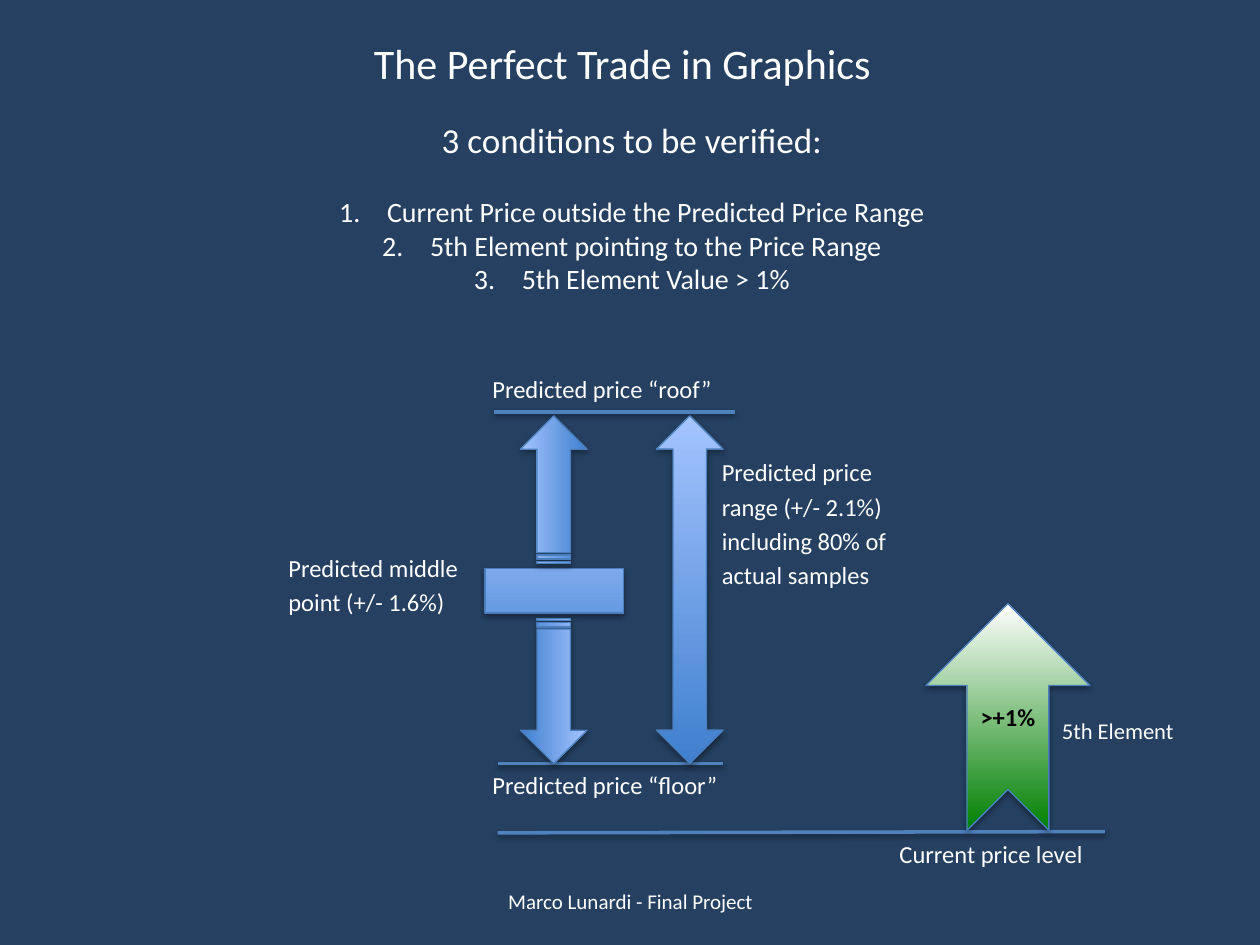
import dataclasses

import lxml.etree
import pptx
import pptx.dml.color
import pptx.enum.shapes
import pptx.enum.text
import pptx.oxml.ns
import pptx.util

COLS, ROWS = 100, 75
COLORS = {
    "background": "254061", "text": "FFFFFF", "signal_text": "000000",
    "level": "4F81BD", "outline": "4B7EBC", "shadow": "000000",
    "deep": "3F80CE", "pale": "A4C4FF", "green": "008000", "white": "FFFFFF",
}
SHAPE = pptx.enum.shapes.MSO_SHAPE
ALIGN = pptx.enum.text.PP_ALIGN
ANCHOR = pptx.enum.text.MSO_ANCHOR
qn = pptx.oxml.ns.qn

prs = pptx.Presentation()
prs.slide_width, prs.slide_height = pptx.util.Inches(10), pptx.util.Inches(7.5)


@dataclasses.dataclass
class Box:
    x: float
    y: float
    w: float
    h: float

    def sub(self, x, y, w, h):
        return Box(self.x + x, self.y + y, w, h)

    def emu(self):
        col, row = prs.slide_width / COLS, prs.slide_height / ROWS
        return [round(v) for v in (self.x * col, self.y * row, self.w * col, self.h * row)]


def rgb(name):
    return pptx.dml.color.RGBColor.from_string(COLORS[name])


def add_shadow(sp, alpha, dist):
    spPr = sp._element.spPr
    effects = lxml.etree.SubElement(spPr, qn("a:effectLst"))
    outer = lxml.etree.SubElement(
        effects, qn("a:outerShdw"), blurRad=str(pptx.util.Pt(3.1)),
        dist=str(pptx.util.Pt(dist)), dir="5400000", rotWithShape="0")
    color = lxml.etree.SubElement(outer, qn("a:srgbClr"), val=COLORS["shadow"])
    lxml.etree.SubElement(color, qn("a:alpha"), val=str(alpha * 1000))


def write(tf, lines, size=14, color="text", bold=False, align=ALIGN.JUSTIFY,
          anchor=ANCHOR.TOP, gap=0.2):
    tf.word_wrap = True
    tf.vertical_anchor = anchor
    for i, line in enumerate(lines):
        p = tf.add_paragraph() if i else tf.paragraphs[0]
        p.alignment = align
        p.space_before = pptx.util.Pt(round(size * gap, 2) if i else 0)
        r = p.add_run()
        r.text = line
        r.font.name, r.font.size, r.font.bold = "Calibri", pptx.util.Pt(size), bold
        r.font.color.rgb = rgb(color)


def add_text(s, box, *lines, **fmt):
    tf = s.shapes.add_textbox(*box.emu()).text_frame
    write(tf, lines, **fmt)
    return tf


def add_block(s, kind, box, start="deep", end="pale", angle=90, rotation=0):
    sp = s.shapes.add_shape(kind, *box.emu())
    sp.rotation = rotation
    sp.fill.gradient()
    sp.fill.gradient_angle = angle
    for stop, color in zip(sp.fill.gradient_stops, (start, end)):
        stop.color.rgb = rgb(color)
    sp.line.color.rgb = rgb("outline")
    sp.line.width = pptx.util.Pt(0.75)
    add_shadow(sp, 35, 1.8)
    return sp


def add_level(s, box):
    x, y, w, h = box.emu()
    line = s.shapes.add_connector(pptx.enum.shapes.MSO_CONNECTOR.STRAIGHT, x, y, x + w, y + h)
    line.line.color.rgb = rgb("level")
    line.line.width = pptx.util.Pt(2)
    add_shadow(line, 38, 1.6)


def draw_title(s, box):
    add_text(s, box, "The Perfect Trade in Graphics", size=24, align=ALIGN.CENTER)


def draw_conditions(s, box):
    tf = add_text(s, box, "3 conditions to be verified:", size=20, align=ALIGN.CENTER)
    items = ["Current Price outside the Predicted Price Range",
             "5th Element pointing to the Price Range", "5th Element Value > 1%"]
    for i, item in enumerate(items):
        p = tf.add_paragraph()
        p.alignment = ALIGN.CENTER
        p.space_before = pptx.util.Pt(0 if i else 19.5)
        pPr = p._p.get_or_add_pPr()
        indent = pptx.util.Inches(0.38)
        pPr.set("marL", str(indent))
        pPr.set("indent", str(-indent))
        lxml.etree.SubElement(pPr, qn("a:buFont"), typeface="+mj-lt")
        lxml.etree.SubElement(pPr, qn("a:buAutoNum"), type="arabicPeriod")
        r = p.add_run()
        r.text = item
        r.font.name, r.font.size = "Calibri", pptx.util.Pt(16)
        r.font.color.rgb = rgb("text")


def draw_prediction(s, box):
    add_text(s, box.sub(1.9, 14.4, 17.5, 6.6), "Predicted middle", "point (+/- 1.6%)")
    add_block(s, SHAPE.MATH_MINUS, box.sub(16.5, 10.4, 15, 15))
    add_level(s, box.sub(19.2, 3.7, 19.1, 0))
    add_level(s, box.sub(19.5, 31.6, 17.9, 0))
    add_block(s, SHAPE.UP_DOWN_ARROW, box.sub(32.1, 4, 5.3, 27.6))
    add_block(s, SHAPE.STRIPED_RIGHT_ARROW, box.sub(18.1, 7.2, 11.7, 5.3), rotation=270)
    add_block(s, SHAPE.STRIPED_RIGHT_ARROW, box.sub(18.2, 23.2, 11.5, 5.3), rotation=90)
    add_text(s, box.sub(36.3, 6.8, 19.1, 12.2), "Predicted price", "range (+/- 2.1%)",
             "including 80% of", "actual samples")
    add_text(s, box.sub(18.1, 0.2, 22.4, 4.4), "Predicted price “roof”")
    add_text(s, box.sub(18.1, 31.6, 22.4, 4.4), "Predicted price “floor”")


def draw_signal(s, box):
    add_level(s, box.sub(0.5, 16.1, 48.2, -0.1))
    arrow = add_block(s, SHAPE.NOTCHED_RIGHT_ARROW, box.sub(32, 0.4, 18, 13),
                      start="green", end="white", angle=0, rotation=270)
    write(arrow.text_frame, [">+1%"], color="signal_text", bold=True,
          align=ALIGN.CENTER, anchor=ANCHOR.MIDDLE)
    arrow.text_frame._txBody.bodyPr.set("vert", "vert")
    add_text(s, box.sub(31.4, 16.1, 18.8, 4.4), "Current price level")
    add_text(s, box.sub(44.3, 6.4, 11.8, 4.4), "5th Element", size=12.9)


def draw_footer(s, box):
    add_text(s, box, "Marco Lunardi - Final Project", size=12,
             align=ALIGN.CENTER, anchor=ANCHOR.MIDDLE)


def main():
    s = prs.slides.add_slide(prs.slide_layouts[6])
    s.background.fill.solid()
    s.background.fill.fore_color.rgb = rgb("background")
    draw_footer(s, Box(34.2, 69.5, 31.7, 4))
    draw_prediction(s, Box(20, 29, 56, 36))
    draw_title(s, Box(13.8, 2.5, 71.2, 6.2))
    draw_signal(s, Box(39, 50, 57, 21))
    draw_conditions(s, Box(8.4, 8.9, 83.5, 15.1))
    prs.save("out.pptx")


if __name__ == "__main__":
    main()
